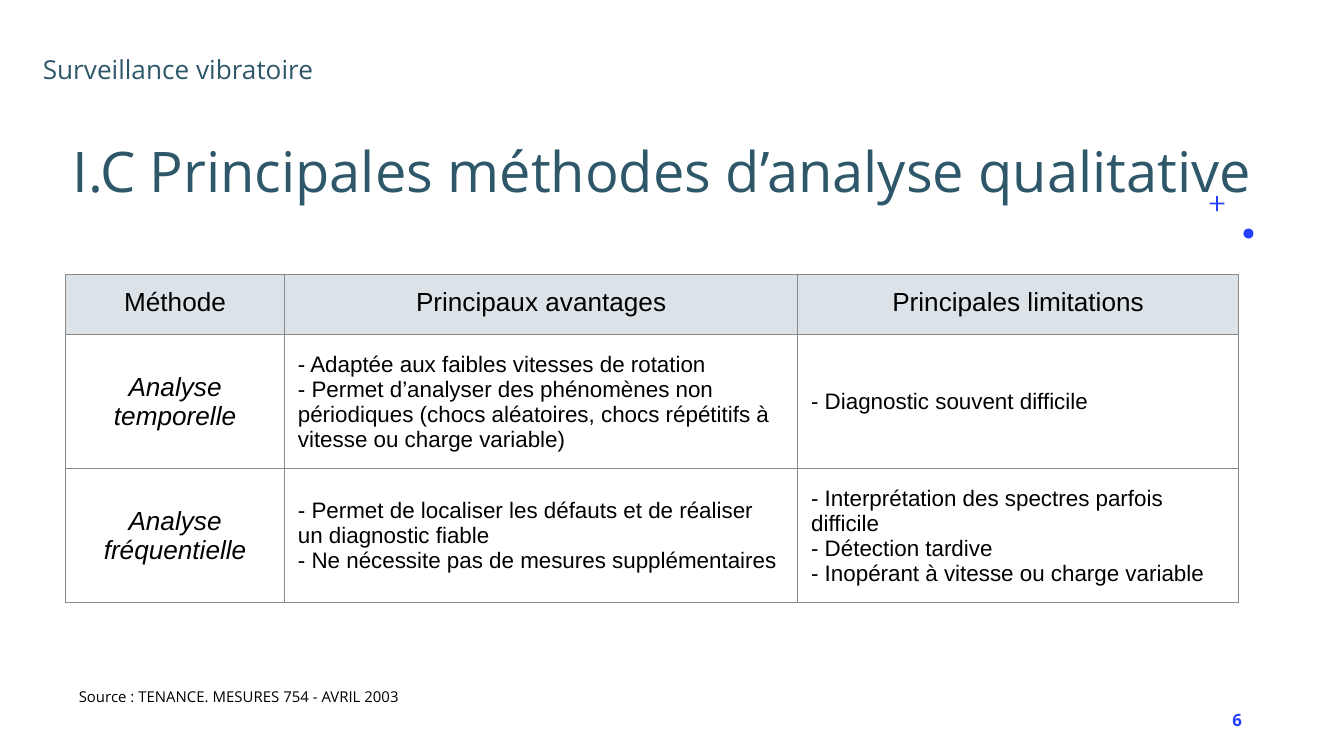
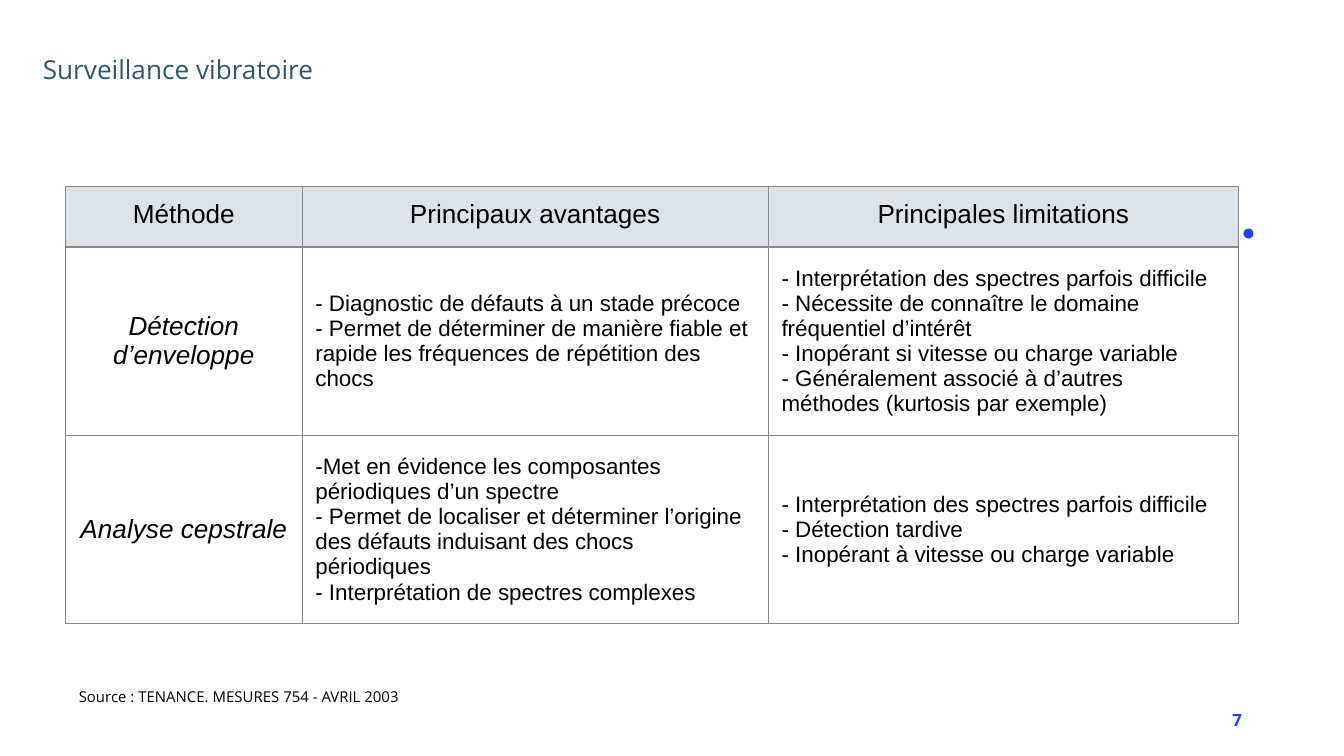
from lxml import etree
from pptx import Presentation
from pptx.dml.color import RGBColor
from pptx.enum.shapes import MSO_SHAPE
from pptx.enum.text import MSO_ANCHOR, PP_ALIGN
from pptx.oxml.ns import qn
from pptx.util import Cm, Pt

LEFT, CENTER, RIGHT = PP_ALIGN.LEFT, PP_ALIGN.CENTER, PP_ALIGN.RIGHT
TOP, MIDDLE, BOTTOM = MSO_ANCHOR.TOP, MSO_ANCHOR.MIDDLE, MSO_ANCHOR.BOTTOM
OVAL, CROSS = MSO_SHAPE.OVAL, MSO_SHAPE.CROSS

TEAL, BLUE, BLACK = "2E586A", "243FFF", "000000"
HEADER_FILL, BORDER = "DBE3E8", "898989"
BORDER_WIDTH = Pt(0.75)
PADDING = 0.25
TABLE_LEFT = 1.24
HEADER_HEIGHT = 1.14

SECTION = "Surveillance vibratoire"
SOURCE = "Source : TENANCE. MESURES 754 - AVRIL 2003"
HEADERS = ["Méthode", "Principaux avantages", "Principales limitations"]

SLIDES = [
    {
        "number": 6,
        "title": "I.C Principales méthodes d’analyse qualitative",
        "table_top": 5.19,
        "columns": [4.14, 9.7, 8.33],
        "row_height": 2.4,
        "methods": [
            ("Analyse temporelle",
             ["- Adaptée aux faibles vitesses de rotation",
              "- Permet d’analyser des phénomènes non périodiques "
              "(chocs aléatoires, chocs répétitifs à vitesse ou charge variable)"],
             ["- Diagnostic souvent difficile"]),
            ("Analyse fréquentielle",
             ["- Permet de localiser les défauts et de réaliser un diagnostic fiable",
              "- Ne nécessite pas de mesures supplémentaires"],
             ["- Interprétation des spectres parfois difficile",
              "- Détection tardive",
              "- Inopérant à vitesse ou charge variable"]),
        ],
    },
    {
        "number": 7,
        "title": None,
        "table_top": 3.53,
        "columns": [4.47, 8.81, 8.89],
        "row_height": 3.56,
        "methods": [
            ("Détection d’enveloppe",
             ["- Diagnostic de défauts à un stade précoce",
              "- Permet de déterminer de manière fiable et rapide "
              "les fréquences de répétition des chocs"],
             ["- Interprétation des spectres parfois difficile",
              "- Nécessite de connaître le domaine fréquentiel d’intérêt",
              "- Inopérant si vitesse ou charge variable",
              "- Généralement associé à d’autres méthodes (kurtosis par exemple)"]),
            ("Analyse cepstrale",
             ["-Met en évidence les composantes périodiques d’un spectre",
              "- Permet de localiser et déterminer l’origine des défauts "
              "induisant des chocs périodiques",
              "- Interprétation de spectres complexes"],
             ["- Interprétation des spectres parfois difficile",
              "- Détection tardive",
              "- Inopérant à vitesse ou charge variable"]),
        ],
    },
]


def color(value):
    return RGBColor.from_string(value)


def write(frame, lines, tint, align=LEFT, spacing=None, **font):
    """Write one paragraph per line, with the same font throughout."""
    frame.word_wrap = True
    for index, line in enumerate(lines):
        para = frame.add_paragraph() if index else frame.paragraphs[0]
        para.alignment = align
        if spacing:
            para.line_spacing = spacing
        span = para.add_run()
        span.text = line
        span.font.color.rgb = color(tint)
        for name, value in font.items():
            setattr(span.font, name, value)


def set_margins(target, side, end):
    for name, value in {"left": side, "right": side, "top": end, "bottom": end}.items():
        setattr(target, f"margin_{name}", Cm(value))


def add_text(page, place, text, size, tint, anchor=TOP, inset=(PADDING, PADDING), **style):
    frame = page.shapes.add_textbox(*map(Cm, place)).text_frame
    set_margins(frame, *inset)
    frame.vertical_anchor = anchor
    write(frame, [text], tint, name="Open Sans", size=Pt(size), **style)


def add_ornament(page, kind, place):
    shape = page.shapes.add_shape(kind, *map(Cm, place))
    shape.shadow.inherit = False
    shape.fill.solid()
    shape.fill.fore_color.rgb = color(BLUE)
    shape.line.fill.background()
    return shape


def add_borders(cell):
    properties = cell._tc.get_or_add_tcPr()
    for side in ("lnL", "lnR", "lnT", "lnB"):
        line = etree.SubElement(properties, qn(f"a:{side}"), w=str(BORDER_WIDTH))
        fill = etree.SubElement(line, qn("a:solidFill"))
        etree.SubElement(fill, qn("a:srgbClr"), val=BORDER)


def fill_cell(cell, lines, is_header, is_method):
    set_margins(cell, PADDING, PADDING)
    cell.vertical_anchor = TOP if is_header else MIDDLE
    add_borders(cell)
    if is_header:
        cell.fill.solid()
        cell.fill.fore_color.rgb = color(HEADER_FILL)
    else:
        cell.fill.background()
    is_label = is_header or is_method
    write(cell.text_frame, lines, BLACK, CENTER if is_label else LEFT, name="Arial",
          size=Pt(14 if is_label else 12), italic=is_method and not is_header)


def add_methods_table(page, content):
    rows = [[[header] for header in HEADERS]]
    rows += [([method], gains, limits) for method, gains, limits in content["methods"]]
    heights = [HEADER_HEIGHT] + [content["row_height"]] * len(content["methods"])
    widths = content["columns"]
    table = page.shapes.add_table(
        len(rows), len(widths), Cm(TABLE_LEFT), Cm(content["table_top"]),
        Cm(sum(widths)), Cm(sum(heights))).table
    table.first_row = table.horz_banding = False
    for column, width in zip(table.columns, widths):
        column.width = Cm(width)
    for row, height in zip(table.rows, heights):
        row.height = Cm(height)
    for row_index, row in enumerate(rows):
        for column_index, lines in enumerate(row):
            fill_cell(table.cell(row_index, column_index), lines,
                      row_index == 0, column_index == 0)


def build_page(deck, content):
    page = deck.slides.add_slide(deck.slide_layouts[6])
    narrow = (0.18, 0.1)
    add_ornament(page, OVAL, (23.5, 4.32, 0.19, 0.19))
    if content["title"]:
        plus = add_ornament(page, CROSS, (22.86, 3.71, 0.28, 0.28))
        plus.adjustments[0] = 0.44
        add_text(page, (1.19, 2.64, 23.55, 1.32), content["title"], 30, TEAL,
                 BOTTOM, narrow, spacing=1.5)
    add_text(page, (17.93, 13.23, 5.72, 0.76), str(content["number"]), 9, BLUE,
             MIDDLE, narrow, align=RIGHT, bold=True)
    add_methods_table(page, content)
    add_text(page, (0.56, 0.76, 10.95, 1.12), SECTION, 14, TEAL)
    add_text(page, (TABLE_LEFT, 12.83, 12.65, 0.86), SOURCE, 8, BLACK)


def main():
    deck = Presentation()
    deck.slide_width, deck.slide_height = Cm(25.4), Cm(14.29)
    for content in SLIDES:
        build_page(deck, content)
    deck.save("out.pptx")


if __name__ == "__main__":
    main()
